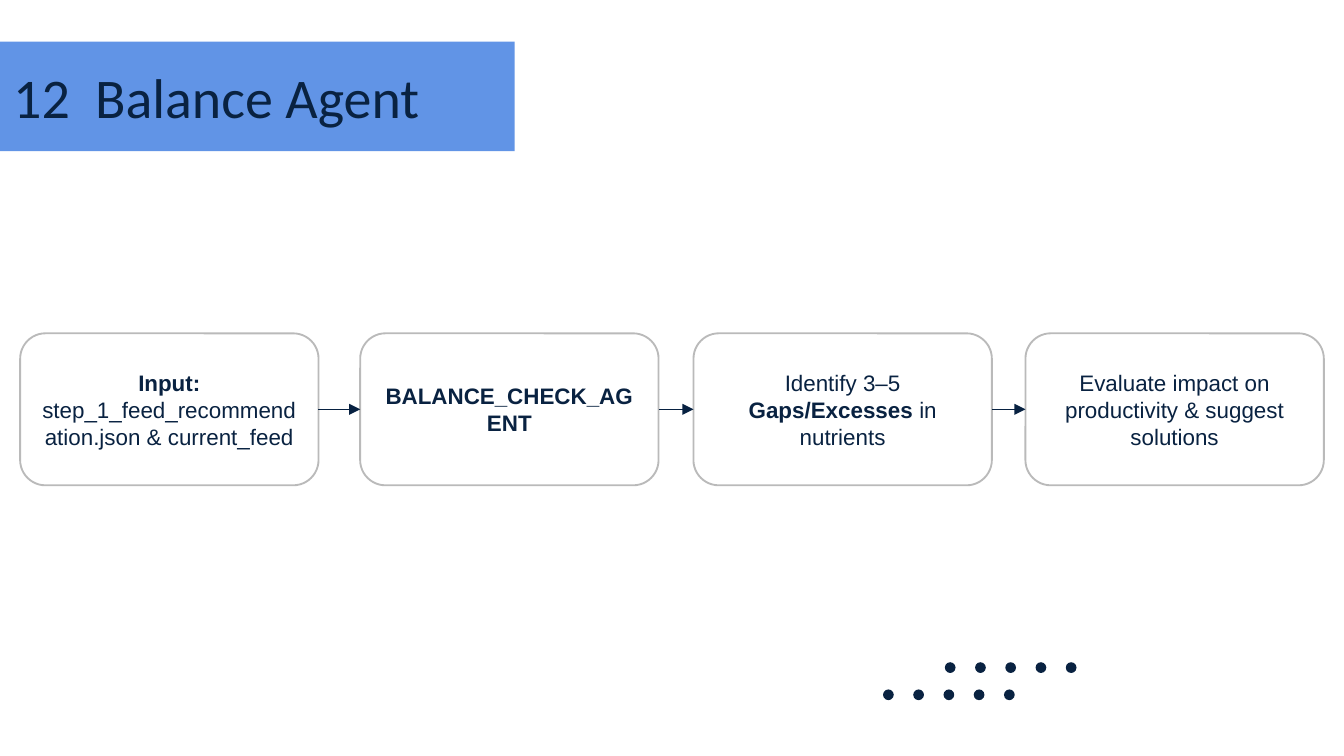
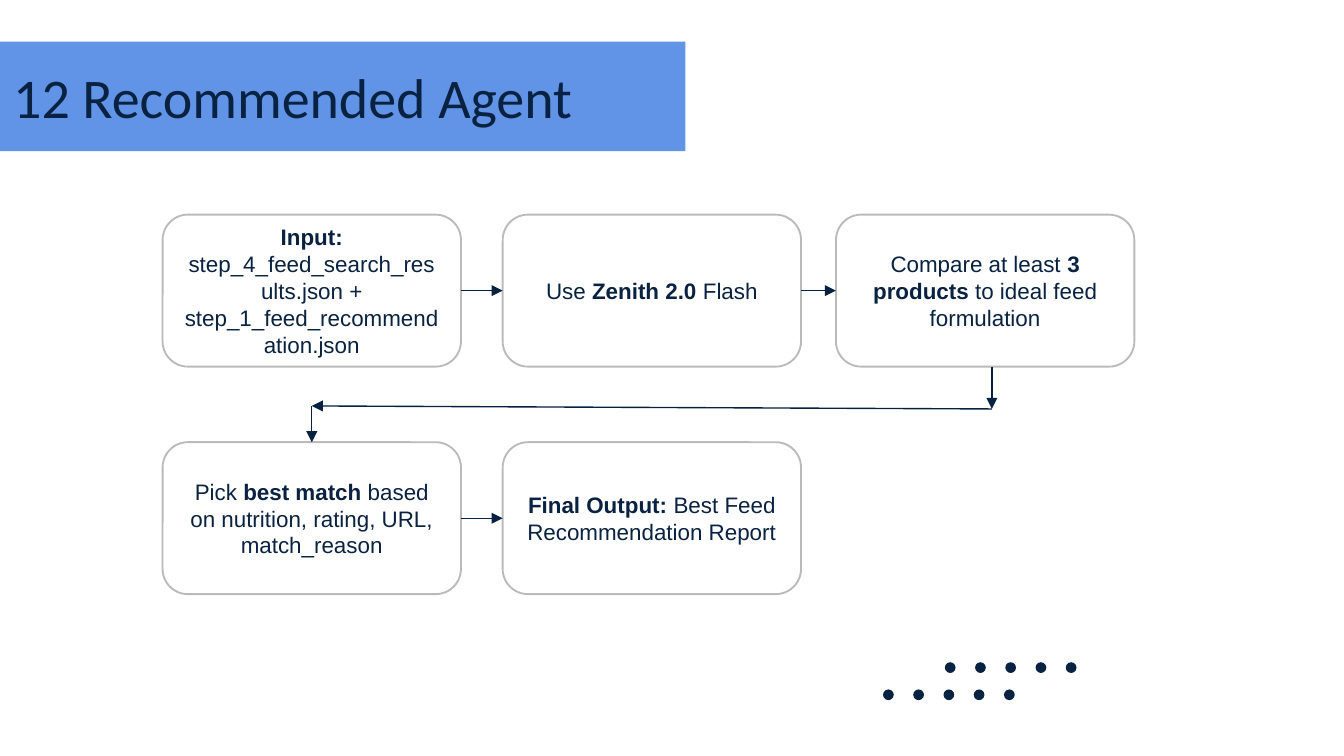
import itertools
from dataclasses import dataclass
from typing import Optional

import pptx
import pptx.dml.color
import pptx.enum.shapes
import pptx.enum.text
import pptx.oxml
import pptx.oxml.ns
import pptx.util

RGBColor = pptx.dml.color.RGBColor
INK = RGBColor(0x09, 0x22, 0x41)
ARROW = RGBColor(0x07, 0x21, 0x41)
BAND = RGBColor(0x61, 0x94, 0xE6)
OUTLINE = RGBColor(0xBA, 0xBA, 0xBA)
WHITE = RGBColor(0xFF, 0xFF, 0xFF)

SLIDE_WIDTH = pptx.util.Inches(10)
SLIDE_HEIGHT = SLIDE_WIDTH * 9 // 16

# All places and sizes below are percentages of the slide's width or height.
STEP_COLUMNS = (1.5, 26.8, 51.6, 76.3)
STEP_WIDTH, STEP_HEIGHT = 22.2, 20.1
BAND_TOP, BAND_HEIGHT = 5.5, 14.5
DOT_ROWS = ((70.3, 87.6), (65.7, 91.2))
DOTS_PER_ROW, DOT_PITCH, DOT_SIZE = 5, 2.25, 0.8

STEP_FONT = {"name": "Arial", "size": pptx.util.Pt(12)}
TITLE_FONT = {"name": "Calibri", "size": pptx.util.Pt(30), "bold": False}
TOP, LEFT, BOTTOM, RIGHT = range(4)


@dataclass(frozen=True)
class Phrase:
    text: str
    bold: bool = False


@dataclass(frozen=True)
class Step:
    column: int
    row: int
    phrases: tuple[Phrase, ...]


@dataclass(frozen=True)
class Flow:
    title: str
    band_width: float
    shift: float
    row_tops: tuple[float, ...]
    steps: tuple[Step, ...]
    title_tab: Optional[float] = None


BALANCE = Flow(
    "12\tBalance Agent", 38.3, 0, (44.1,),
    (
        Step(0, 0, (Phrase("Input: ", True),
                    Phrase("step_1_feed_recommendation.json & current_feed"))),
        Step(1, 0, (Phrase("BALANCE_CHECK_AGENT", True),)),
        Step(2, 0, (Phrase("Identify 3–5 "), Phrase("Gaps/Excesses ", True),
                    Phrase("in nutrients"))),
        Step(3, 0, (Phrase("Evaluate impact on productivity & suggest solutions"),)),
    ),
    title_tab=6.1,
)

RECOMMENDED = Flow(
    "12 Recommended Agent", 51, 10.6, (28.4, 58.5),
    (
        Step(0, 0, (Phrase("Input: ", True),
                    Phrase("step_4_feed_search_results.json + "
                           "step_1_feed_recommendation.json"))),
        Step(1, 0, (Phrase("Use "), Phrase("Zenith 2.0", True), Phrase(" Flash"))),
        Step(2, 0, (Phrase("Compare at least "), Phrase("3 products ", True),
                    Phrase("to ideal feed formulation"))),
        Step(0, 1, (Phrase("Pick "), Phrase("best match", True),
                    Phrase(" based on nutrition, rating, URL, match_reason"))),
        Step(1, 1, (Phrase("Final Output: ", True),
                    Phrase("Best Feed Recommendation Report"))),
    ),
)


def across(percent: float) -> int:
    return round(SLIDE_WIDTH * percent / 100)


def down(percent: float) -> int:
    return round(SLIDE_HEIGHT * percent / 100)


def add_filled(shapes, kind, left: int, top: int, width: int, height: int,
               fill: RGBColor, outline: Optional[RGBColor] = None):
    shape = shapes.add_shape(kind, left, top, width, height)
    shape.shadow.inherit = False
    shape.fill.solid()
    shape.fill.fore_color.rgb = fill
    if outline is None:
        shape.line.fill.background()
    else:
        shape.line.color.rgb = outline
        shape.line.width = pptx.util.Pt(1)
    return shape


def write(shape, phrases: tuple[Phrase, ...], alignment, font_format: dict) -> None:
    frame = shape.text_frame
    frame.word_wrap = True
    frame.vertical_anchor = pptx.enum.text.MSO_ANCHOR.MIDDLE
    paragraph = frame.paragraphs[0]
    paragraph.alignment = alignment
    for phrase in phrases:
        run = paragraph.add_run()
        run.text = phrase.text
        for attribute, value in ({"bold": phrase.bold} | font_format).items():
            setattr(run.font, attribute, value)
        run.font.color.rgb = INK


def add_arrow(slide, start: tuple[int, int] = (0, 0), end: tuple[int, int] = (0, 0),
              start_step=None, end_step=None):
    """Draw an arrow; a (step, side) pair joins that end to the step's side."""
    arrow = slide.shapes.add_connector(
        pptx.enum.shapes.MSO_CONNECTOR.STRAIGHT, *start, *end)
    if start_step:
        arrow.begin_connect(*start_step)
    if end_step:
        arrow.end_connect(*end_step)
    arrow.line.color.rgb = ARROW
    arrow.line.width = pptx.util.Pt(0.75)
    head = pptx.oxml.parse_xml(
        f'<a:tailEnd {pptx.oxml.ns.nsdecls("a")} type="triangle"/>')
    arrow.line._get_or_add_ln().append(head)
    arrow._element.spPr.append(
        pptx.oxml.parse_xml(f'<a:effectLst {pptx.oxml.ns.nsdecls("a")}/>'))


def add_dots(slide) -> None:
    dots = slide.shapes.add_group_shape().shapes
    size = across(DOT_SIZE)
    for (left, top), index in itertools.product(DOT_ROWS, range(DOTS_PER_ROW)):
        add_filled(dots, pptx.enum.shapes.MSO_SHAPE.OVAL,
                   across(left + index * DOT_PITCH), down(top), size, size, INK)


def add_title(slide, flow: Flow) -> None:
    band = add_filled(slide.shapes, pptx.enum.shapes.MSO_SHAPE.RECTANGLE, 0,
                      down(BAND_TOP), across(flow.band_width), down(BAND_HEIGHT), BAND)
    if flow.title_tab is not None:
        properties = band.text_frame.paragraphs[0]._p.get_or_add_pPr()
        properties.append(pptx.oxml.parse_xml(
            f'<a:tabLst {pptx.oxml.ns.nsdecls("a")}>'
            f'<a:tab pos="{across(flow.title_tab)}" algn="l"/></a:tabLst>'))
    write(band, (Phrase(flow.title),), pptx.enum.text.PP_ALIGN.LEFT, TITLE_FONT)


def add_steps(slide, flow: Flow) -> list:
    """Draw the steps, with an arrow between neighbours in a row."""
    boxes = []
    for step in flow.steps:
        box = add_filled(slide.shapes, pptx.enum.shapes.MSO_SHAPE.ROUNDED_RECTANGLE,
                         across(STEP_COLUMNS[step.column] + flow.shift),
                         down(flow.row_tops[step.row]),
                         across(STEP_WIDTH), down(STEP_HEIGHT), WHITE, OUTLINE)
        write(box, step.phrases, pptx.enum.text.PP_ALIGN.CENTER, STEP_FONT)
        boxes.append(box)
    for index, (step, following) in enumerate(itertools.pairwise(flow.steps)):
        if step.row == following.row:
            add_arrow(slide, start_step=(boxes[index], RIGHT),
                      end_step=(boxes[index + 1], LEFT))
    return boxes


def add_row_turn(slide, compare, pick) -> None:
    """Lead from the end of the first row back to the start of the second."""
    turn_x = across(73.8)
    pick_x = pick.left + pick.width // 2
    right_turn, left_turn = (turn_x, down(54.1)), (pick_x, down(53.7))
    add_arrow(slide, (turn_x, compare.top + compare.height), right_turn)
    add_arrow(slide, right_turn, left_turn)
    add_arrow(slide, left_turn, end_step=(pick, TOP))


def add_flow_slide(deck, flow: Flow) -> None:
    slide = deck.slides.add_slide(deck.slide_layouts[6])
    slide.background.fill.solid()
    slide.background.fill.fore_color.rgb = WHITE
    add_dots(slide)
    boxes = add_steps(slide, flow)
    for index, (step, following) in enumerate(itertools.pairwise(flow.steps)):
        if step.row != following.row:
            add_row_turn(slide, boxes[index], boxes[index + 1])
    add_title(slide, flow)


def main() -> None:
    deck = pptx.Presentation()
    deck.slide_width = SLIDE_WIDTH
    deck.slide_height = SLIDE_HEIGHT
    for flow in (BALANCE, RECOMMENDED):
        add_flow_slide(deck, flow)
    deck.save("out.pptx")


if __name__ == "__main__":
    main()
